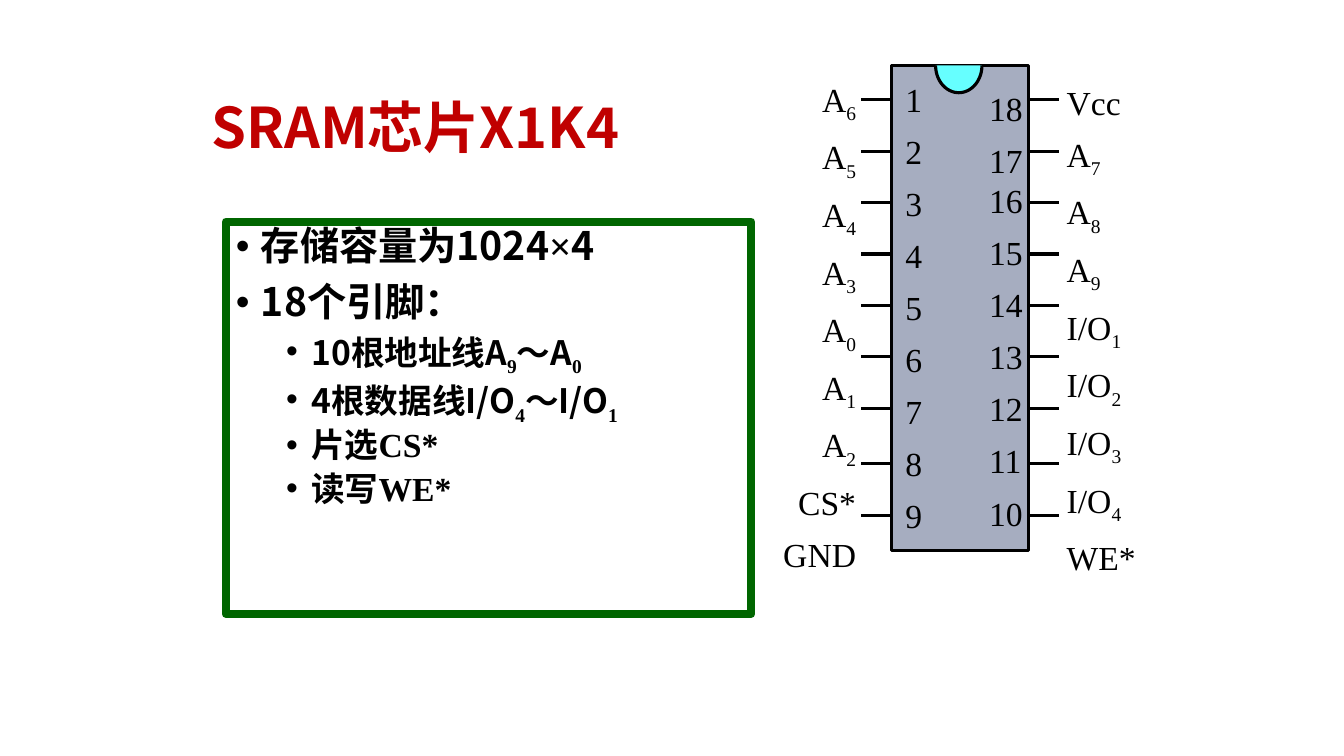
"""Build the slide that describes a static memory chip and its pins."""
from dataclasses import dataclass
from math import cos, pi, sin

from lxml.etree import SubElement
from pptx import Presentation
from pptx.dml.color import RGBColor
from pptx.enum.shapes import MSO_CONNECTOR, MSO_SHAPE
from pptx.enum.text import MSO_ANCHOR, PP_ALIGN
from pptx.oxml.ns import qn
from pptx.util import Inches, Pt

SANS = "Noto Sans CJK SC"
SERIF = "Times New Roman"
BLACK = RGBColor(0x00, 0x00, 0x00)
RED = RGBColor(0xC0, 0x00, 0x00)
GREEN = RGBColor(0x00, 0x66, 0x00)
CHIP_GRAY = RGBColor(0xA6, 0xAD, 0xC0)
NOTCH_CYAN = RGBColor(0x66, 0xFF, 0xFF)

PIN_LINE_WIDTH = 2.25
PIN_TOP = 0.99
PIN_PITCH = 0.51
PIN_LENGTH = 0.29
PINS_PER_SIDE = 9


@dataclass(frozen=True)
class Piece:
    text: str
    font: str = SERIF
    subscript: bool = False


@dataclass(frozen=True)
class Bullet:
    level: int
    pieces: tuple[Piece, ...]


@dataclass(frozen=True)
class LabelColumn:
    left: float
    top: float
    width: float
    height: float
    alignment: PP_ALIGN
    labels: tuple[str, ...]


BULLETS = (
    Bullet(0, (Piece("存储容量为"), Piece("1024", SANS), Piece("×"), Piece("4", SANS))),
    Bullet(0, (Piece("18个", SANS), Piece("引脚："))),
    Bullet(1, (Piece("10", SANS), Piece("根地址线"), Piece("A", SANS), Piece("9", subscript=True),
               Piece("～"), Piece("A", SANS), Piece("0", subscript=True))),
    Bullet(1, (Piece("4", SANS), Piece("根数据线"), Piece("I/O", SANS), Piece("4", subscript=True),
               Piece("～"), Piece("I/O", SANS), Piece("1", subscript=True))),
    Bullet(1, (Piece("片选CS*"),)),
    Bullet(1, (Piece("读写WE*"),)),
)

LABEL_COLUMNS = (
    LabelColumn(8.97, 0.77, 0.4, 4.73, PP_ALIGN.JUSTIFY,
                tuple(str(number) for number in range(1, 10))),
    LabelColumn(9.8, 0.86, 0.37, 4.85, PP_ALIGN.JUSTIFY,
                ("18", "1716", "15", "14", "13", "12", "11", "10")),
    LabelColumn(10.57, 0.8, 0.94, 5.04, PP_ALIGN.JUSTIFY,
                ("Vcc", "A_7", "A_8", "A_9", "I/O_1", "I/O_2", "I/O_3", "I/O_4", "WE*")),
    LabelColumn(7.66, 0.77, 0.84, 4.85, PP_ALIGN.RIGHT,
                ("A_6", "A_5", "A_4", "A_3", "A_0", "A_1", "A_2", "CS*", "GND")),
)


def add_piece(paragraph, piece: Piece, size: float, color: RGBColor, bold: bool = False) -> None:
    run = paragraph.add_run()
    run.text = piece.text
    run.font.size = Pt(size)
    run.font.bold = bold
    run.font.color.rgb = color
    run.font.name = piece.font
    properties = run.font._element
    SubElement(properties, qn("a:ea")).set("typeface", SANS)
    if piece.subscript:
        properties.set("baseline", "-25000")


def next_paragraph(frame, index: int, space_before: float):
    if index == 0:
        return frame.paragraphs[0]
    paragraph = frame.add_paragraph()
    paragraph.space_before = Pt(space_before)
    return paragraph


def add_title(slide) -> None:
    title = slide.shapes.add_textbox(Inches(2), Inches(0.67), Inches(6.72), Inches(1.25))
    frame = title.text_frame
    frame.word_wrap = True
    frame.vertical_anchor = MSO_ANCHOR.MIDDLE
    paragraph = frame.paragraphs[0]
    paragraph.line_spacing = 0.9
    add_piece(paragraph, Piece("SRAM芯片X1K4", SANS), 40, RED, bold=True)


def add_description(slide) -> None:
    box = slide.shapes.add_shape(
        MSO_SHAPE.RECTANGLE, Inches(2.24), Inches(2.2), Inches(5.21), Inches(3.89))
    box.shadow.inherit = False
    box.fill.background()
    box.line.color.rgb = GREEN
    box.line.width = Pt(6)
    frame = box.text_frame
    frame.word_wrap = True
    frame.vertical_anchor = MSO_ANCHOR.TOP
    for index, bullet in enumerate(BULLETS):
        paragraph = next_paragraph(frame, index, 5 if bullet.level else 10)
        paragraph.alignment = PP_ALIGN.LEFT
        paragraph.level = bullet.level
        paragraph.line_spacing = 0.9
        properties = paragraph._p.get_or_add_pPr()
        properties.set("marL", str(Inches(0.25 + 0.5 * bullet.level)))
        properties.set("indent", str(Inches(-0.25)))
        SubElement(properties, qn("a:buFont")).set("typeface", "Arial")
        SubElement(properties, qn("a:buChar")).set("char", "•")
        for piece in bullet.pieces:
            add_piece(paragraph, piece, 24 if bullet.level else 28, BLACK, bold=True)


def style_chip_part(shape, color: RGBColor) -> None:
    shape.shadow.inherit = False
    shape.fill.solid()
    shape.fill.fore_color.rgb = color
    shape.line.color.rgb = BLACK
    shape.line.width = Pt(PIN_LINE_WIDTH)


def add_chip(slide) -> None:
    body = slide.shapes.add_shape(
        MSO_SHAPE.RECTANGLE, Inches(8.84), Inches(0.65), Inches(1.36), Inches(4.81))
    style_chip_part(body, CHIP_GRAY)
    steps = 40
    arc = [(Inches(9.51 - 0.23 * cos(pi * step / steps)),
            Inches(0.65 + 0.27 * sin(pi * step / steps))) for step in range(steps + 1)]
    builder = slide.shapes.build_freeform(*arc[0])
    builder.add_line_segments(arc[1:], close=False)
    style_chip_part(builder.convert_to_shape(), NOTCH_CYAN)


def add_label_column(slide, column: LabelColumn) -> None:
    box = slide.shapes.add_textbox(
        Inches(column.left), Inches(column.top), Inches(column.width), Inches(column.height))
    frame = box.text_frame
    frame.word_wrap = True
    frame.margin_left = frame.margin_right = Inches(0.01)
    frame.margin_top = frame.margin_bottom = Inches(0.01)
    for index, label in enumerate(column.labels):
        paragraph = next_paragraph(frame, index, 8.4)
        paragraph.alignment = column.alignment
        name, _, subscript = label.partition("_")
        add_piece(paragraph, Piece(name), 24, BLACK)
        if subscript:
            add_piece(paragraph, Piece(subscript, subscript=True), 24, BLACK)


def add_pin(slide, left: float, top: float) -> None:
    pin = slide.shapes.add_connector(
        MSO_CONNECTOR.STRAIGHT, Inches(left), Inches(top), Inches(left + PIN_LENGTH), Inches(top))
    pin.line.color.rgb = BLACK
    pin.line.width = Pt(PIN_LINE_WIDTH)
    SubElement(pin._element.spPr, qn("a:effectLst"))


def main() -> None:
    presentation = Presentation()
    presentation.slide_width = Inches(13.33)
    presentation.slide_height = Inches(7.5)
    slide = presentation.slides.add_slide(presentation.slide_layouts[6])
    add_title(slide)
    add_description(slide)
    add_chip(slide)
    for column in LABEL_COLUMNS:
        add_label_column(slide, column)
    for left in (8.54, 10.21):
        for index in range(PINS_PER_SIDE):
            lower_gap = 0.04 if index >= 7 else 0
            add_pin(slide, left, PIN_TOP + PIN_PITCH * index + lower_gap)
    presentation.save("out.pptx")


if __name__ == "__main__":
    main()
